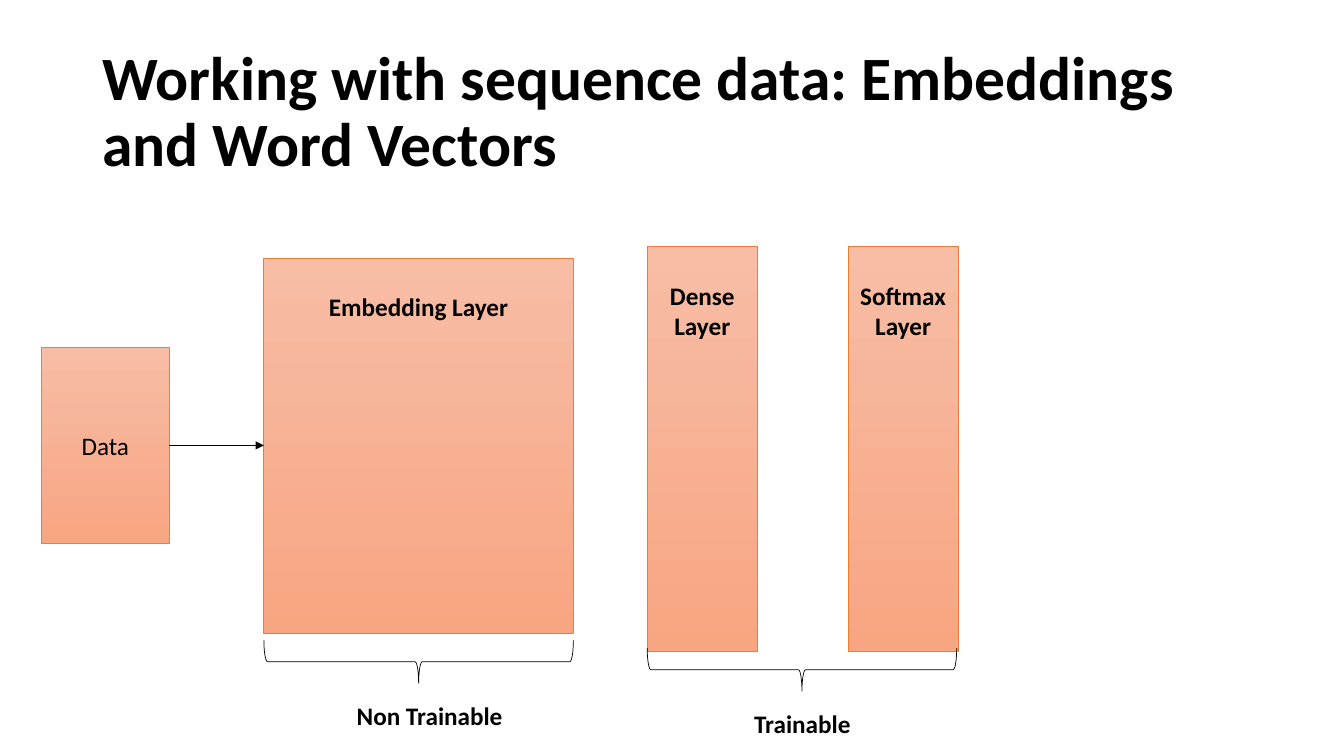
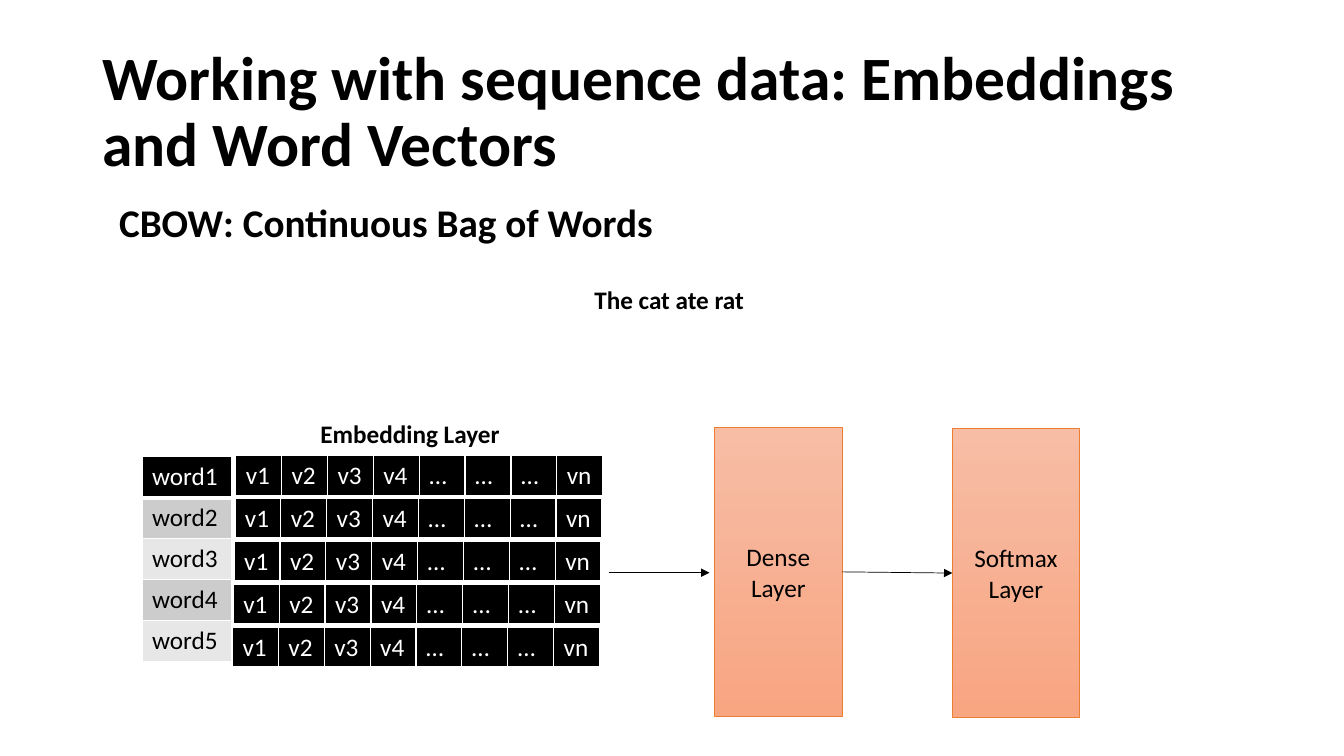
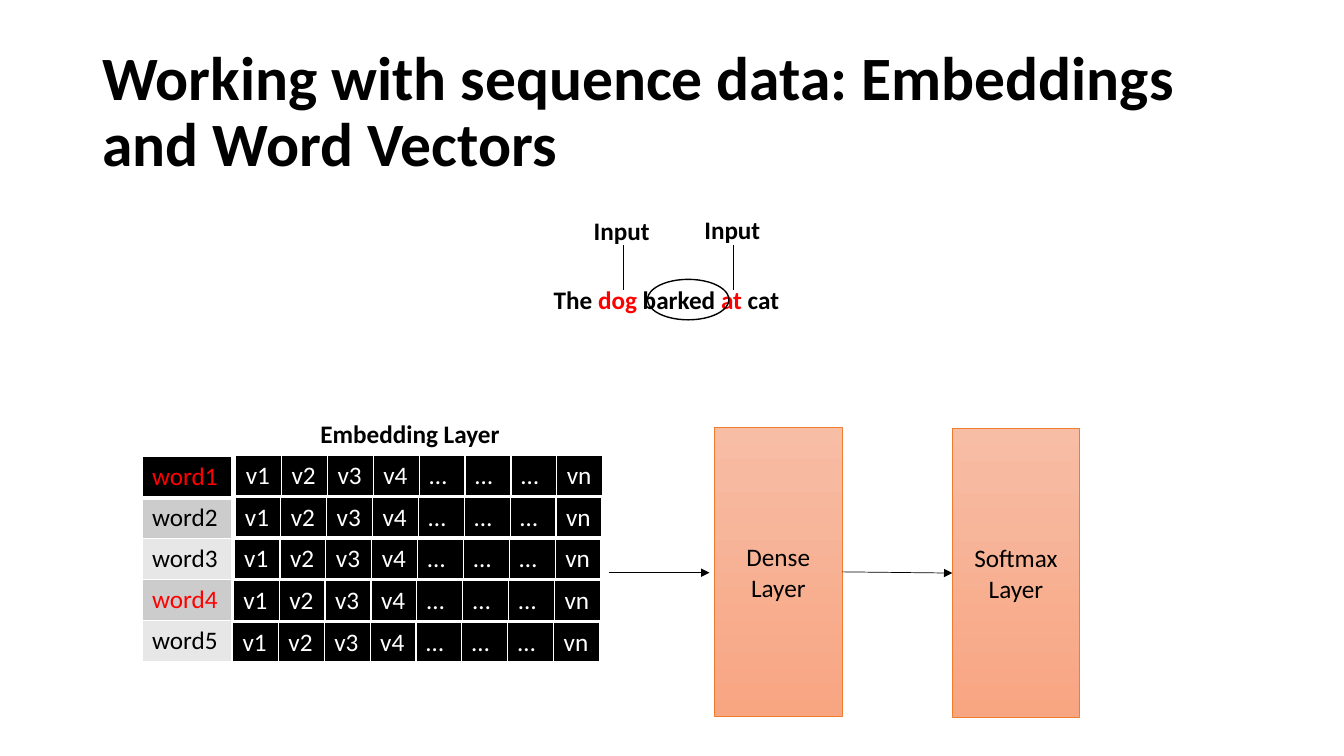
from lxml import etree
from pptx import Presentation
from pptx import util as u
from pptx.dml import color
from pptx.enum import shapes, text
from pptx.oxml import ns

FONT = "Calibri"
BLACK, WHITE, RED = "000000", "FFFFFF", "FF0000"
ORANGE, PEACH, SALMON = "ED7D31", "F7BDA5", "F8A582"
DARK_BAND, LIGHT_BAND = "CCCCCC", "E7E7E7"
TITLE = "Working with sequence data: Embeddings and Word Vectors"
VECTOR = ["v1", "v2", "v3", "v4", "…", "…", "…", "vn"]
WORDS = ["word1", "word2", "word3", "word4", "word5"]
ROW_HEIGHT = 1.03
LABEL_HEIGHT = 1.02
CENTER = text.PP_ALIGN.CENTER
LEFT = text.PP_ALIGN.LEFT


def rgb(value):
    return color.RGBColor.from_string(value)


def cm(*lengths):
    return [u.Cm(length) for length in lengths]


def style_run(run, colour=BLACK, size=18, bold=False):
    run.font.name = FONT
    run.font.size = u.Pt(size)
    run.font.bold = bold
    run.font.color.rgb = rgb(colour)


def write(frame, content, align=LEFT, **style):
    """Fill a text frame, one paragraph a line, in one style."""
    frame.text = content
    for paragraph in frame.paragraphs:
        paragraph.alignment = align
        for run in paragraph.runs:
            style_run(run, **style)


def add_label(slide, content, left, top, width, height=LABEL_HEIGHT,
              align=CENTER, size=18):
    frame = slide.shapes.add_textbox(*cm(left, top, width, height)).text_frame
    frame.word_wrap = True
    write(frame, content, align, size=size, bold=True)
    return frame


def add_titled_slide(presentation):
    slide = presentation.slides.add_slide(presentation.slide_layouts[6])
    frame = add_label(slide, TITLE, 2.33, 1.01, 29.21, 3.71, LEFT, size=44)
    frame.vertical_anchor = text.MSO_ANCHOR.MIDDLE
    frame.paragraphs[0].line_spacing = 0.9
    return slide


def add_layer(slide, content, left, top, width, height, heading=False):
    """Draw a gradient box; a heading is bold and sits near the top."""
    shape = slide.shapes.add_shape(
        shapes.MSO_SHAPE.RECTANGLE, *cm(left, top, width, height))
    shape.shadow.inherit = False
    shape.fill.gradient()
    shape.fill.gradient_angle = 270
    for stop, colour in zip(shape.fill.gradient_stops, (PEACH, SALMON)):
        stop.color.rgb = rgb(colour)
    shape.line.color.rgb = rgb(ORANGE)
    shape.line.width = u.Pt(0.5)
    frame = shape.text_frame
    frame.word_wrap = True
    frame.vertical_anchor = text.MSO_ANCHOR.MIDDLE
    if heading:
        frame.vertical_anchor = text.MSO_ANCHOR.TOP
        frame.margin_top = u.Cm(0.85)
    write(frame, content, CENTER, bold=heading)
    return shape


def add_outline(slide, preset, left, top, width, height, weight):
    shape = slide.shapes.add_shape(preset, *cm(left, top, width, height))
    shape.shadow.inherit = False
    shape.fill.background()
    shape.line.color.rgb = rgb(BLACK)
    shape.line.width = u.Pt(weight)
    return shape


def add_brace_below(slide, left, top, width, height=1.09):
    """Draw a brace that points down; the lengths are those seen after turning."""
    shift = (width - height) / 2
    brace = add_outline(slide, shapes.MSO_SHAPE.RIGHT_BRACE,
                        left + shift, top - shift, height, width, 0.5)
    brace.rotation = 90


def add_line(slide, x1=0, y1=0, x2=0, y2=0, arrow=False):
    connector = slide.shapes.add_connector(
        shapes.MSO_CONNECTOR.STRAIGHT, *cm(x1, y1, x2, y2))
    connector.line.color.rgb = rgb(BLACK)
    connector.line.width = u.Pt(0.5)
    if arrow:
        etree.SubElement(connector.line._get_or_add_ln(),
                         ns.qn("a:tailEnd"), type="triangle")
    etree.SubElement(connector._element.spPr, ns.qn("a:effectLst"))
    return connector


def join(slide, source, target):
    """Draw an arrow from the right side of one box to the left of another."""
    connector = add_line(slide, arrow=True)
    connector.begin_connect(source, 3)
    connector.end_connect(target, 1)


def style_cell(cell, content, colour, fill, bottom):
    write(cell.text_frame, content, colour=colour)
    properties = cell._tc.get_or_add_tcPr()
    for side, points in (("L", 1), ("R", 1), ("T", 1), ("B", bottom)):
        border = etree.SubElement(properties, ns.qn(f"a:ln{side}"),
                                  w=str(u.Pt(points)))
        solid = etree.SubElement(border, ns.qn("a:solidFill"))
        etree.SubElement(solid, ns.qn("a:srgbClr"), val=WHITE)
    cell.fill.solid()
    cell.fill.fore_color.rgb = rgb(fill)


def add_plain_table(slide, rows, columns, left, top, width):
    table = slide.shapes.add_table(
        rows, columns, *cm(left, top, width, rows * ROW_HEIGHT)).table
    table.first_row = table.horz_banding = False
    for column in table.columns:
        column.width = u.Cm(width) // columns
    return table


def add_word_table(slide, inputs):
    table = add_plain_table(slide, len(WORDS), 1, 3.58, 11.51, 2.26)
    for row, word in enumerate(WORDS):
        if row == 0:
            colour, fill, bottom = WHITE, BLACK, 3
        else:
            colour, bottom = BLACK, 1
            fill = DARK_BAND if row % 2 else LIGHT_BAND
        if word in inputs:
            colour = RED
        style_cell(table.cell(row, 0), word, colour, fill, bottom)


def add_vector_tables(slide, pitch):
    for row in range(len(WORDS)):
        table = add_plain_table(slide, 1, len(VECTOR), 5.94 - 0.02 * row,
                                11.48 + pitch * row, 9.25)
        for column, value in enumerate(VECTOR):
            style_cell(table.cell(0, column), value, WHITE, BLACK, 3)


def add_network(slide, pitch, inputs=()):
    """Draw the word vectors and the two layers they feed."""
    add_word_table(slide, inputs)
    add_vector_tables(slide, pitch)
    add_label(slide, "Embedding Layer", 6.5, 10.41, 7.67)
    add_line(slide, 15.34, 14.43, 17.88, 14.43, arrow=True)
    dense = add_layer(slide, "Dense\nLayer", 18.01, 10.77, 3.21, 7.28)
    softmax = add_layer(slide, "Softmax\nLayer", 24, 10.8, 3.21, 7.28)
    join(slide, dense, softmax)


def add_sentence(slide, pieces):
    frame = add_label(slide, "", 10.77, 7.04, 12.19)
    for content, colour in pieces:
        run = frame.paragraphs[0].add_run()
        run.text = content
        style_run(run, colour, bold=True)


def build_layers_slide(presentation):
    slide = add_titled_slide(presentation)
    embedding = add_layer(slide, "Embedding Layer", 6.65, 6.5, 7.8, 9.45,
                          heading=True)
    data = add_layer(slide, "Data", 1.04, 8.75, 3.23, 4.95)
    join(slide, data, embedding)
    for name, left in (("Dense", 16.31), ("Softmax", 21.37)):
        add_layer(slide, f"{name}\nLayer", left, 6.22, 2.78, 10.2, heading=True)
    add_brace_below(slide, 6.65, 16.13, 7.8)
    add_label(slide, "Non Trainable", 8.74, 17.53, 4.72, align=LEFT)
    add_brace_below(slide, 16.31, 16.33, 7.8)
    add_label(slide, "Trainable", 17.86, 17.73, 4.72)


def build_cbow_slide(presentation):
    slide = add_titled_slide(presentation)
    add_sentence(slide, [("The cat ate rat", BLACK)])
    add_network(slide, pitch=1.08)
    add_label(slide, "CBOW: Continuous Bag of Words", 2.51, 4.88, 14.43, 1.45,
              size=28)


def build_inputs_slide(presentation):
    slide = add_titled_slide(presentation)
    add_sentence(slide, [("The ", BLACK), ("dog", RED), (" barked ", BLACK),
                         ("at", RED), (" cat ", BLACK)])
    add_network(slide, pitch=1.05, inputs=("word1", "word4"))
    for line_x, left, top in ((15.72, 14.71, 5.31), (18.49, 17.5, 5.28)):
        add_line(slide, line_x, 6.17, line_x, 7.32)
        add_label(slide, "Input", left, top, 2.03, align=LEFT)
    add_outline(slide, shapes.MSO_SHAPE.OVAL, 16.32, 7.04, 2.05, 1.02, 1)


def main():
    presentation = Presentation()
    presentation.slide_width, presentation.slide_height = cm(33.87, 19.05)
    build_layers_slide(presentation)
    build_cbow_slide(presentation)
    build_inputs_slide(presentation)
    presentation.save("out.pptx")


if __name__ == "__main__":
    main()
